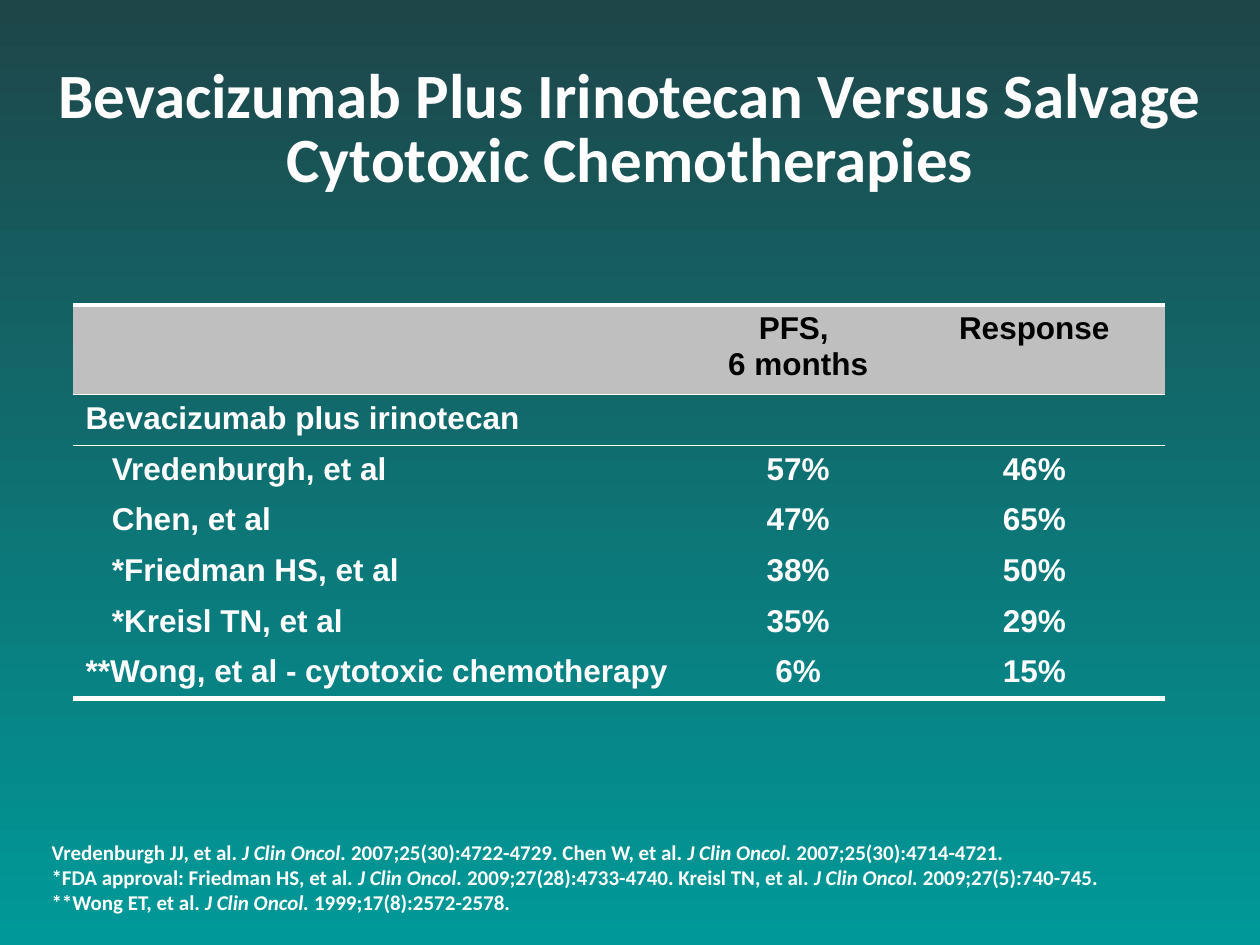
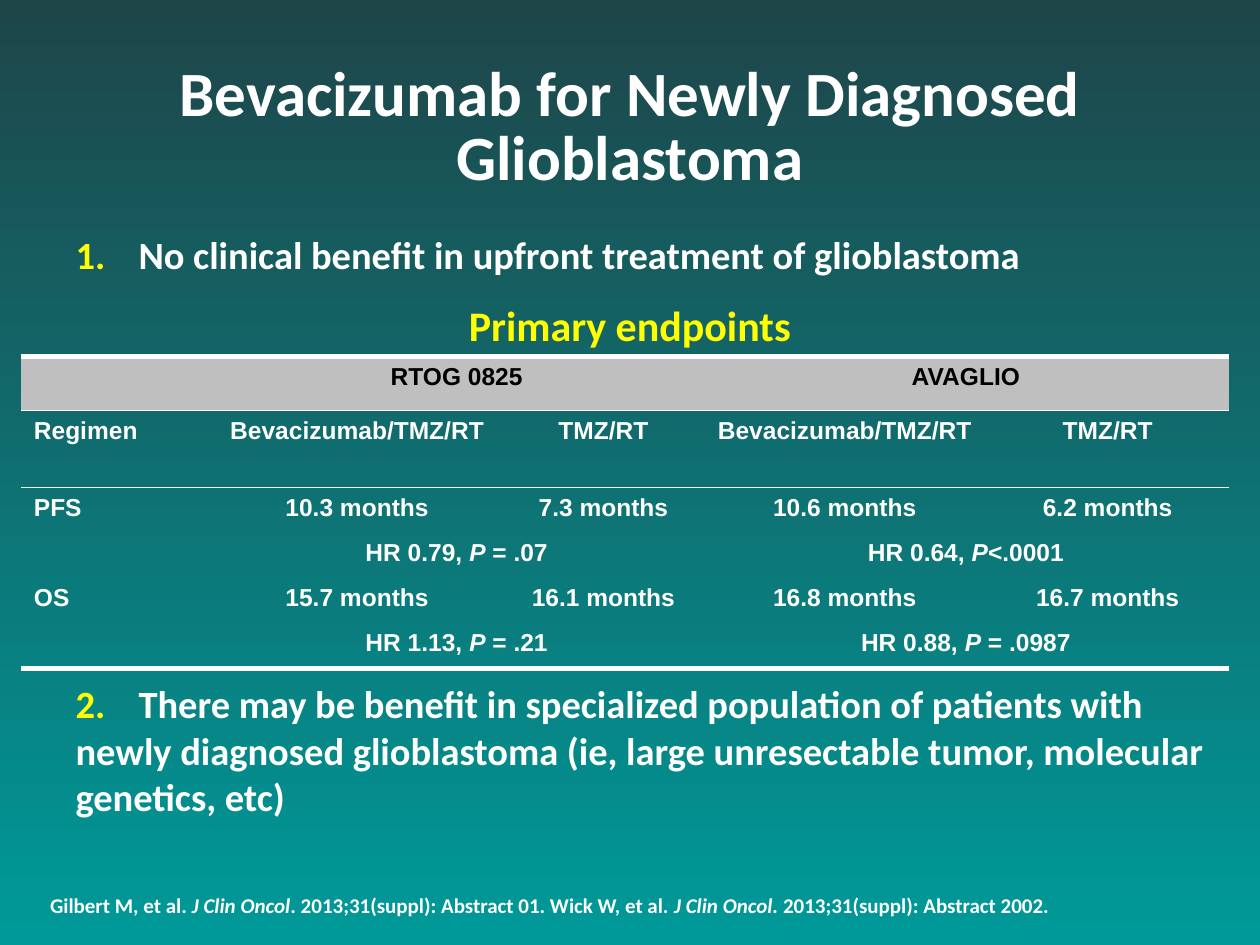
"""Build two slides on bevacizumab trials in glioblastoma."""
import pptx
import pptx.dml.color
import pptx.enum.text
import pptx.oxml
import pptx.oxml.ns
import pptx.util

Cm = pptx.util.Cm
Pt = pptx.util.Pt
RGBColor = pptx.dml.color.RGBColor
Align = pptx.enum.text.PP_ALIGN
Anchor = pptx.enum.text.MSO_ANCHOR
qn = pptx.oxml.ns.qn

WHITE = RGBColor(0xFF, 0xFF, 0xFF)
BLACK = RGBColor(0x00, 0x00, 0x00)
YELLOW = RGBColor(0xFF, 0xFF, 0x00)
HEADER_GREY = RGBColor(0xBF, 0xBF, 0xBF)
TEAL = RGBColor(0x00, 0x99, 0x99)
DARK_TEAL = RGBColor(0x1E, 0x46, 0x49)

HEADING_FONT = "Calibri"
TABLE_FONT = "Arial"
PLAIN_TABLE_STYLE = "{2D5ABB26-0587-4C30-8999-92F81FD0307C}"
THICK, THIN = 3, 1

# Underscores enclose italics; None continues the cell on its left.
SALVAGE = {
    "title": "Bevacizumab Plus Irinotecan Versus Salvage Cytotoxic Chemotherapies",
    "title_box": (0, 0.84, 25.4, 3.61),
    "table_corner": (1.47, 6.15),
    "columns": (12.5, 4.24, 5.28),
    "row_heights": (1.8,) + (1.02,) * 6,
    "table_size": 18,
    "rows": [
        ("", "PFS, \n6 months", "Response"),
        ("Bevacizumab plus irinotecan", "", ""),
        ("Vredenburgh, et al", "57%", "46%"),
        ("Chen, et al", "47%", "65%"),
        ("*Friedman HS, et al", "38%", "50%"),
        ("*Kreisl TN, et al", "35%", "29%"),
        ("**Wong, et al - cytotoxic chemotherapy", "6%", "15%"),
    ],
    "indented_rows": range(2, 6),
    "references": [
        "Vredenburgh JJ, et al. _J Clin Oncol. _2007;25(30):4722-4729. "
        "Chen W, et al. _J Clin Oncol. _2007;25(30):4714-4721. \n"
        "*FDA approval: Friedman HS, et al. _J Clin Oncol. _2009;27(28):4733-4740. "
        "Kreisl TN, et al. _J Clin Oncol. _2009;27(5):740-745.",
        "**Wong ET, et al. _J Clin Oncol. _1999;17(8):2572-2578.",
    ],
    "references_box": (0.79, 16.79, 23.95, 1.8),
}
NEWLY_DIAGNOSED = {
    "title": "Bevacizumab for Newly Diagnosed Glioblastoma",
    "title_box": (0, 1.17, 25.4, 2.87),
    "table_corner": (0.43, 7.19),
    "columns": (3.81, 5.92, 4.01, 5.72, 4.88),
    "row_heights": (1.09, 1.55) + (0.91,) * 4,
    "table_size": 14,
    "rows": [
        ("", "RTOG 0825", None, "AVAGLIO", None),
        ("Regimen",) + ("Bevacizumab/TMZ/RT", "TMZ/RT") * 2,
        ("PFS", "10.3 months", "7.3 months", "10.6 months", "6.2 months"),
        ("", "HR 0.79, _P_ = .07", None, "HR 0.64, _P_<.0001", None),
        ("OS", "15.7 months", "16.1 months", "16.8 months", "16.7 months"),
        ("", "HR 1.13, _P_ = .21", None, "HR 0.88, _P_ = .0987", None),
    ],
    "indented_rows": (),
    "references": [
        "Gilbert M, et al. _J Clin Oncol_. 2013;31(suppl): Abstract 01. "
        "Wick W, et al. _J Clin Oncol. _2013;31(suppl): Abstract 2002.",
    ],
    "references_box": (0.76, 17.86, 24.38, 0.76),
}
ENDPOINTS_HEADING = "Primary endpoints"
ENDPOINTS_BOX = (0, 5.92, 25.4, 1.27)
NO_BENEFIT = "No clinical benefit in upfront treatment of glioblastoma"
NO_BENEFIT_BOX = (1.27, 4.52, 24.13, 1.19)
SPECIALIZED = ("There may be benefit in specialized population of patients with newly "
               "diagnosed glioblastoma (ie, large unresectable tumor, molecular genetics, etc)")
SPECIALIZED_BOX = (1.27, 13.59, 23.5, 3.07)


def write(paragraph, text, size, colour=WHITE, font=HEADING_FONT):
    """Add bold runs, with italics between underscores."""
    for position, piece in enumerate(text.split("_")):
        for line_number, line in enumerate(piece.split("\n")):
            if line_number:
                paragraph.add_line_break()
            if line:
                run = paragraph.add_run()
                run.text = line
                run.font.name = font
                run.font.size = Pt(size)
                run.font.bold = True
                run.font.italic = position % 2 == 1
                run.font.color.rgb = colour


def place(holder, box, anchor=Anchor.TOP):
    """Position a text holder and return its first paragraph."""
    holder.left, holder.top, holder.width, holder.height = map(Cm, box)
    frame = holder.text_frame
    frame.word_wrap = True
    frame.auto_size = pptx.enum.text.MSO_AUTO_SIZE.NONE
    frame.vertical_anchor = anchor
    return frame.paragraphs[0]


def add_text(slide, box):
    """Add a text box and return its first paragraph."""
    return place(slide.shapes.add_textbox(*map(Cm, box)), box)


def add_properties(paragraph, left, indent, *fragments):
    """Set indents and append bullet or tab elements."""
    properties = paragraph._p.get_or_add_pPr()
    properties.set("marL", str(Cm(left)))
    properties.set("indent", str(Cm(indent)))
    for fragment in fragments:
        tag, rest = fragment.split(" ", 1)
        namespace = pptx.oxml.ns.nsdecls("a")
        properties.append(pptx.oxml.parse_xml(f"<a:{tag} {namespace} {rest}"))


def add_rules(cell, top, bottom):
    """Draw the cell's horizontal borders."""
    namespace = pptx.oxml.ns.nsdecls("a")
    rules = [(tag, width) for tag, width in (("lnT", top), ("lnB", bottom)) if width]
    for index, (tag, width) in enumerate(rules):
        cell._tc.get_or_add_tcPr().insert(index, pptx.oxml.parse_xml(
            f'<a:{tag} {namespace} w="{Pt(width)}"><a:solidFill>'
            f'<a:srgbClr val="{WHITE}"/></a:solidFill></a:{tag}>'))


def add_results(slide, content):
    """Add the table of trial results."""
    rows, columns = content["rows"], content["columns"]
    heights, size = content["row_heights"], content["table_size"]
    frame = slide.shapes.add_table(
        len(rows), len(columns), *map(Cm, content["table_corner"]),
        Cm(sum(columns)), Cm(sum(heights)))
    results = frame.table
    frame._element.find(".//" + qn("a:tableStyleId")).text = PLAIN_TABLE_STYLE
    results.first_row = results.horz_banding = False
    for column, width in zip(results.columns, columns):
        column.width = Cm(width)
    for row, height in zip(results.rows, heights):
        row.height = Cm(height)
    for row_number, texts in enumerate(rows):
        header = row_number == 0
        last = row_number == len(rows) - 1
        for column_number, text in enumerate(texts):
            cell = results.cell(row_number, column_number)
            if header:
                cell.fill.solid()
                cell.fill.fore_color.rgb = HEADER_GREY
            else:
                cell.fill.background()
            add_rules(cell, THICK if header else THIN if row_number == 1 else 0,
                      THIN if header else THICK if last else 0)
            paragraph = cell.text_frame.paragraphs[0]
            if column_number:
                paragraph.alignment = Align.CENTER
            elif row_number in content["indented_rows"]:
                add_properties(paragraph, 0.53, 0)
            if text:
                write(paragraph, text, size, BLACK if header else WHITE, TABLE_FONT)
            else:
                paragraph._p.get_or_add_endParaRPr().set("sz", str(size * 100))
            if text is None:
                results.cell(row_number, column_number - 1).merge(cell)


def add_trial_slide(deck, layout, content):
    """Add a slide with its title, results and references."""
    slide = deck.slides.add_slide(deck.slide_layouts.get_by_name(layout))
    title = place(slide.shapes.title, content["title_box"], Anchor.MIDDLE)
    title.alignment = Align.CENTER
    title.line_spacing = 0.85
    write(title, content["title"], 36)
    add_results(slide, content)
    reference = add_text(slide, content["references_box"])
    for number, text in enumerate(content["references"]):
        if number:
            reference = slide.shapes[-1].text_frame.add_paragraph()
        write(reference, text, 12)
    return slide


def add_conclusions(slide):
    """Add the two numbered points and the heading of the table."""
    first, second = list(slide.placeholders)[1:3]
    point = place(first, NO_BENEFIT_BOX)
    add_properties(point, 1.27, -1.27,
                   f'buClr ><a:srgbClr val="{YELLOW}"/></a:buClr>',
                   'buFont typeface="+mj-lt"/>', 'buAutoNum type="arabicPeriod"/>')
    point.space_before = Pt(0)
    write(point, NO_BENEFIT, 22)

    point = place(second, SPECIALIZED_BOX)
    add_properties(point, 0, 0, "buNone />",
                   f'tabLst ><a:tab pos="{Cm(1.12)}" algn="l"/></a:tabLst>')
    point.space_before = Pt(0)
    write(point, "2.\t", 22, YELLOW)
    write(point, SPECIALIZED, 22)

    heading = add_text(slide, ENDPOINTS_BOX)
    heading.alignment = Align.CENTER
    write(heading, ENDPOINTS_HEADING, 24, YELLOW)


def main():
    """Build and save the deck."""
    deck = pptx.Presentation()
    deck.slide_width, deck.slide_height = Cm(25.4), Cm(19.05)
    backdrop = deck.slide_master.background.fill
    backdrop.gradient()
    backdrop.gradient_angle = 90
    for stop, colour in zip(backdrop.gradient_stops, (TEAL, DARK_TEAL)):
        stop.color.rgb = colour
    add_trial_slide(deck, "Title Only", SALVAGE)
    add_conclusions(add_trial_slide(deck, "Two Content", NEWLY_DIAGNOSED))
    deck.save("out.pptx")


if __name__ == "__main__":
    main()
